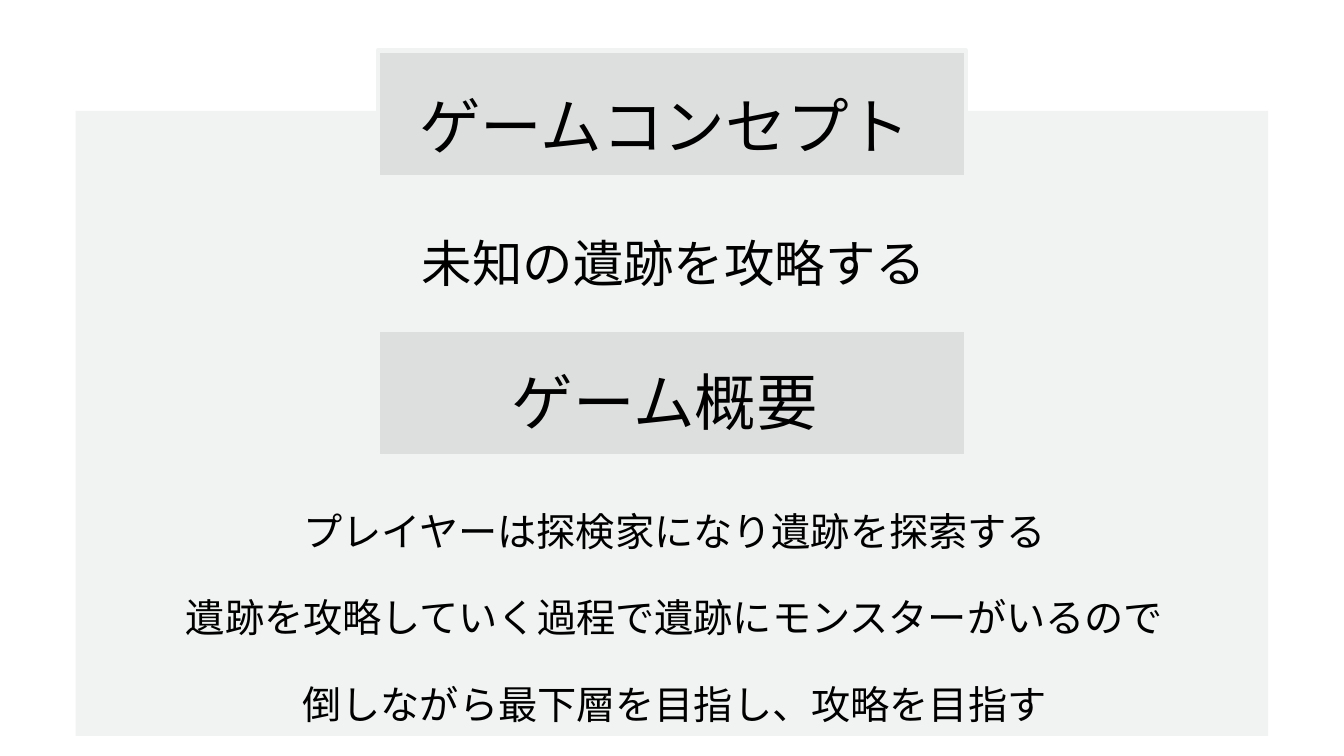
from dataclasses import dataclass

from lxml import etree
from pptx import Presentation, util as u
from pptx.dml.color import RGBColor
from pptx.enum import shapes, text
from pptx.oxml.ns import qn


@dataclass(frozen=True)
class Theme:
    font: str = "Noto Sans CJK JP"
    ink: str = "000000"
    panel: str = "F1F2F2"
    plaque: str = "DDDEDE"
    heading: int = 44
    lead: int = 36
    body: int = 28
    leading: float = 61.7
    border: int = 3


class Deck:
    """Places elements by centre, top and size, in percent of the slide."""

    def __init__(self, theme):
        self.theme = theme
        self.prs = Presentation()
        self.prs.slide_width, self.prs.slide_height = u.Inches(13.33), u.Inches(7.5)
        self.s = self.prs.slides.add_slide(self.prs.slide_layouts[5])

    def box(self, top, width, height, centre=50):
        w, h = self.prs.slide_width / 100, self.prs.slide_height / 100
        left = centre - width / 2
        return [round(v) for v in (left * w, top * h, width * w, height * h)]

    def rect(self, area, fill, line=None):
        sp = self.s.shapes.add_shape(shapes.MSO_SHAPE.RECTANGLE, *area)
        sp.shadow.inherit = False
        sp.fill.solid()
        sp.fill.fore_color.rgb = RGBColor.from_string(fill)
        if line:
            sp.line.color.rgb = RGBColor.from_string(line)
            sp.line.width = u.Pt(self.theme.border)
        else:
            sp.line.fill.background()

    def set_text(self, sp, words, size):
        tf = sp.text_frame
        tf.text = words
        tf.word_wrap = True
        tf.auto_size = text.MSO_AUTO_SIZE.SHAPE_TO_FIT_TEXT
        tf.vertical_anchor = text.MSO_ANCHOR.TOP
        tf.margin_left = tf.margin_top = tf.margin_right = tf.margin_bottom = 0
        for p in tf.paragraphs:
            p.alignment = text.PP_ALIGN.CENTER
            p.line_spacing = u.Pt(self.theme.leading)
            for r in p.runs:
                r.font.size = u.Pt(size)
                r.font.name = self.theme.font
                r.font.color.rgb = RGBColor.from_string(self.theme.ink)
                # East Asian glyphs take their own typeface entry
                ea = etree.SubElement(r.font._element, qn("a:ea"))
                ea.set("typeface", self.theme.font)

    def label(self, area, words, size):
        self.set_text(self.s.shapes.add_textbox(*area), words, size)

    def title(self, area, words, size):
        sp = self.s.shapes.title
        sp.left, sp.top, sp.width, sp.height = area
        self.set_text(sp, words, size)
        # Bring the title in front of its plaque
        sp.element.getparent().append(sp.element)


def main():
    theme = Theme()
    deck = Deck(theme)

    # Background panel and heading plaques
    deck.rect(deck.box(14.67, 88.73, 82.67), theme.panel)
    for top in (6.67, 43.6):
        deck.rect(deck.box(top, 43.8, 16.8), theme.plaque, theme.panel)

    # Concept
    deck.title(deck.box(10, 50.33, 10.13), "ゲームコンセプト ", theme.heading)
    deck.label(deck.box(27.33, 68.03, 11.6, 50.14), "未知の遺跡を攻略する", theme.lead)

    # Overview
    deck.label(deck.box(46.53, 50.33, 10.13), "ゲーム概要 ", theme.heading)
    overview = (
        "プレイヤーは探検家になり遺跡を探索する",
        "遺跡を攻略していく過程で遺跡にモンスターがいるので",
        "倒しながら最下層を目指し、攻略を目指す",
    )
    deck.label(deck.box(61.87, 91.05, 34.8, 50.18), "\n".join(overview), theme.body)

    deck.prs.save("out.pptx")


if __name__ == "__main__":
    main()
